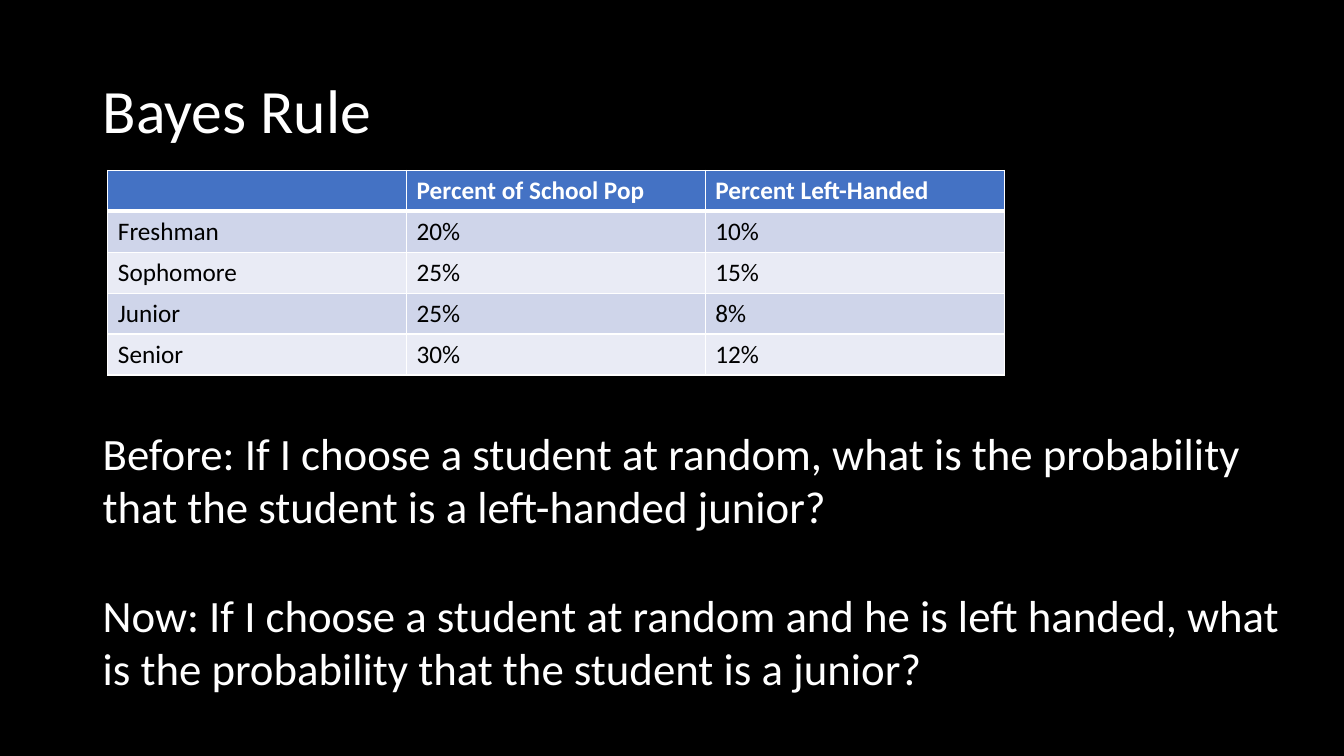
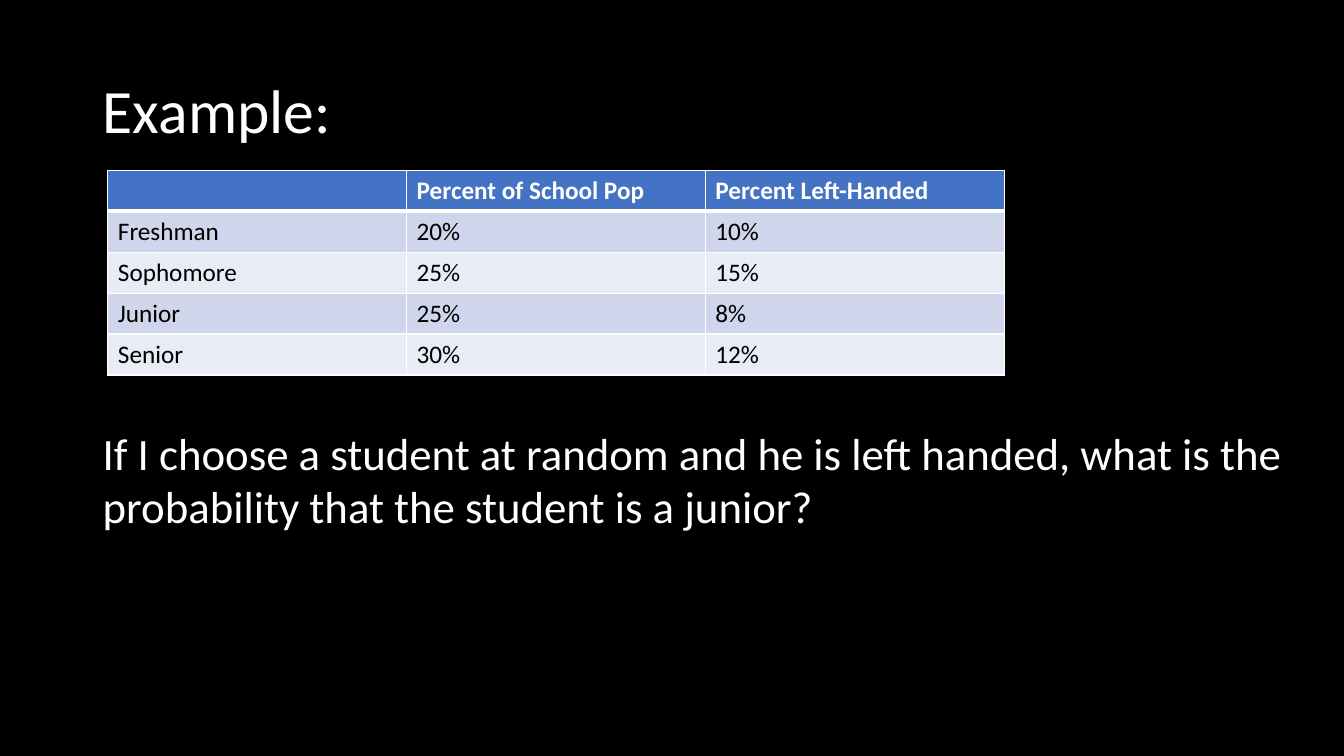
from dataclasses import dataclass

from lxml.etree import SubElement
from pptx import Presentation
from pptx.dml.color import RGBColor
from pptx.enum.text import MSO_ANCHOR, MSO_AUTO_SIZE, PP_ALIGN
from pptx.oxml.ns import qn
from pptx.presentation import Presentation as Deck
from pptx.slide import Slide
from pptx.table import _Cell as Cell
from pptx.text.text import _Paragraph as Paragraph
from pptx.util import Inches, Pt

COLORS = {
    "background": "000000",
    "light": "FFFFFF",
    "dark": "000000",
    "header": "4472C4",
    "odd_row": "CFD5EA",
    "even_row": "E9EBF5",
}
FONT = "Calibri"
TITLE_ONLY = 5
CLASS_YEARS = (
    ("", "Percent of School Pop", "Percent Left-Handed"),
    ("Freshman", "20%", "10%"),
    ("Sophomore", "25%", "15%"),
    ("Junior", "25%", "8%"),
    ("Senior", "30%", "12%"),
)


@dataclass(frozen=True)
class Problem:
    title: str
    questions: tuple[str, ...]
    height: float


PROBLEMS = (
    Problem(
        "Bayes Rule",
        (
            "Before: If I choose a student at random, what is the probability "
            "that the student is a left-handed junior?",
            "Now: If I choose a student at random and he is left handed, what "
            "is the probability that the student is a junior?",
        ),
        3.33,
    ),
    Problem(
        "Example:",
        (
            "If I choose a student at random and he is left handed, what is the "
            "probability that the student is a junior?",
        ),
        1.72,
    ),
)


def rgb(name: str) -> RGBColor:
    return RGBColor.from_string(COLORS[name])


def add_run(paragraph: Paragraph, text: str, size: int, color: str = "light", bold: bool = False) -> None:
    run = paragraph.add_run()
    run.text = text
    run.font.name = FONT
    run.font.size = Pt(size)
    run.font.bold = bold
    run.font.color.rgb = rgb(color)


def add_title(slide: Slide, text: str) -> None:
    title = slide.shapes.title
    title.left, title.top = Inches(0.92), Inches(0.4)
    title.width, title.height = Inches(11.5), Inches(1.45)
    title.text_frame.vertical_anchor = MSO_ANCHOR.MIDDLE
    heading = title.text_frame.paragraphs[0]
    heading.alignment = PP_ALIGN.LEFT
    heading.line_spacing = 0.9
    add_run(heading, text, 44)


def add_questions(slide: Slide, questions: tuple[str, ...], height: float) -> None:
    box = slide.shapes.add_textbox(Inches(0.92), Inches(4.17), Inches(11.99), Inches(height))
    frame = box.text_frame
    frame.word_wrap = True
    frame.auto_size = MSO_AUTO_SIZE.SHAPE_TO_FIT_TEXT
    for index, question in enumerate(questions):
        paragraph = frame.add_paragraph() if index else frame.paragraphs[0]
        if index:
            paragraph.space_before = Pt(39)
        add_run(paragraph, question, 32)


def set_borders(cell: Cell, top: int, bottom: int) -> None:
    properties = cell._tc.get_or_add_tcPr()
    for tag, width in (("a:lnL", 1), ("a:lnR", 1), ("a:lnT", top), ("a:lnB", bottom)):
        border = SubElement(properties, qn(tag), w=str(Pt(width)))
        fill = SubElement(border, qn("a:solidFill"))
        SubElement(fill, qn("a:srgbClr"), val=COLORS["light"])


def add_class_table(slide: Slide) -> None:
    width, height = Inches(8.89), Inches(2.03)
    table = slide.shapes.add_table(
        len(CLASS_YEARS), len(CLASS_YEARS[0]), Inches(1.07), Inches(1.69), width, height
    ).table
    for row, values in enumerate(CLASS_YEARS):
        is_header = row == 0
        fill = "header" if is_header else "odd_row" if row % 2 else "even_row"
        for column, value in enumerate(values):
            cell = table.cell(row, column)
            set_borders(cell, top=3 if row == 1 else 1, bottom=3 if is_header else 1)
            cell.fill.solid()
            cell.fill.fore_color.rgb = rgb(fill)
            if value:
                add_run(
                    cell.text_frame.paragraphs[0], value, 18,
                    "light" if is_header else "dark", is_header,
                )


def add_problem(deck: Deck, problem: Problem) -> None:
    slide = deck.slides.add_slide(deck.slide_layouts[TITLE_ONLY])
    add_title(slide, problem.title)
    add_questions(slide, problem.questions, problem.height)
    add_class_table(slide)


def main() -> None:
    deck = Presentation()
    deck.slide_width, deck.slide_height = Inches(13.33), Inches(7.5)
    background = deck.slide_master.background.fill
    background.solid()
    background.fore_color.rgb = rgb("background")
    for problem in PROBLEMS:
        add_problem(deck, problem)
    deck.save("out.pptx")


if __name__ == "__main__":
    main()
